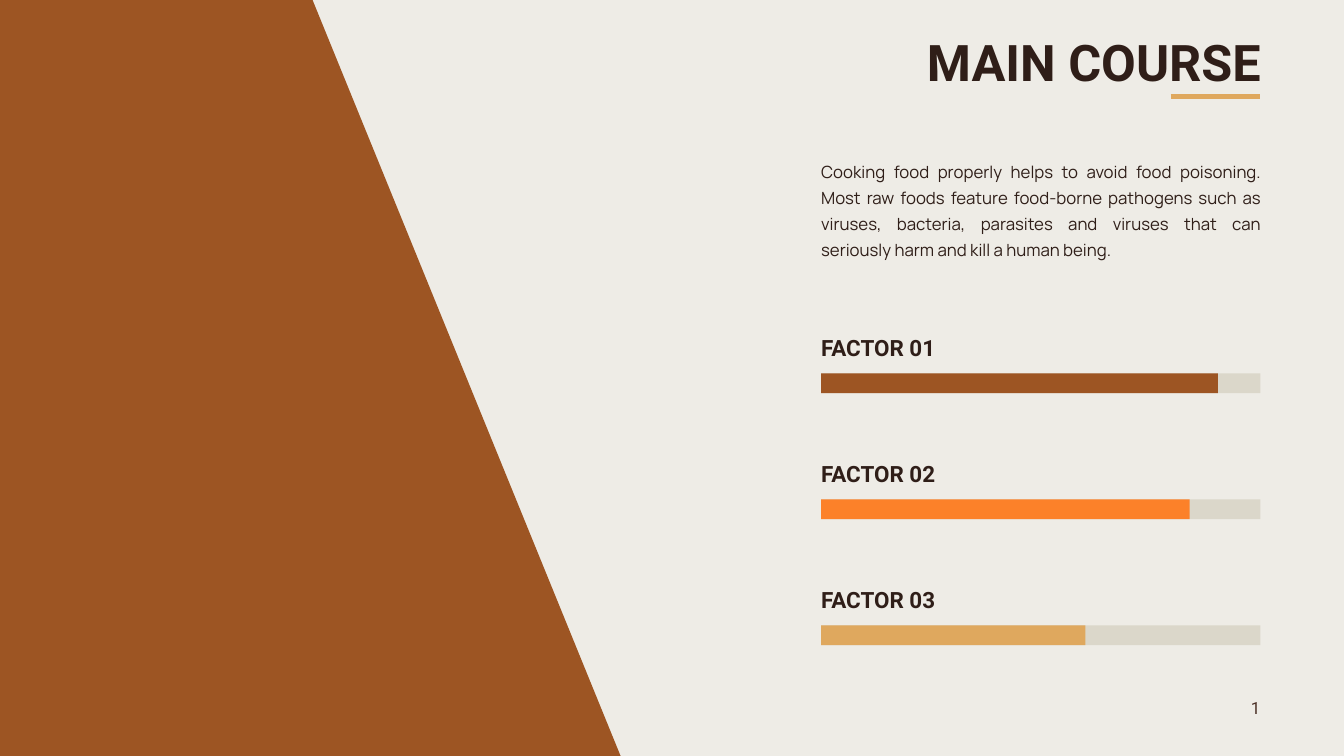
from pptx import Presentation
from pptx.dml.color import RGBColor
from pptx.enum.shapes import MSO_CONNECTOR as Connector, MSO_SHAPE as Shape
from pptx.enum.text import MSO_ANCHOR as Anchor, MSO_AUTO_SIZE as AutoSize, PP_ALIGN as Align
from pptx.oxml.ns import qn
from pptx.util import Pt
from lxml.etree import SubElement

SCALE = 9144
WIDTH, HEIGHT = 2666, 1500
INSET = 10
INK, BROWN, ORANGE, GOLD = "2F1E18", "9D5523", "FC8129", "DFA85E"
FACTORS = [("FACTOR 01", 787, BROWN), ("FACTOR 02", 731, ORANGE), ("FACTOR 03", 524, GOLD)]


def px(value):
    return int(value * SCALE)


def paint(color_format, color):
    color_format.rgb = RGBColor.from_string(color)


def fill_plain(shape, color):
    shape.shadow.inherit = False
    shape.fill.solid()
    paint(shape.fill.fore_color, color)
    shape.line.fill.background()


def add_bar(slide, left, top, width, height, color):
    bar = slide.shapes.add_shape(Shape.RECTANGLE, px(left), px(top), px(width), px(height))
    fill_plain(bar, color)


def add_text(slide, box, text, size, font="Roboto", color=INK, bold=False,
             align=Align.LEFT, anchor=Anchor.TOP, wrap=False, inset=None, leading=None):
    frame = slide.shapes.add_textbox(*map(px, box)).text_frame
    frame.word_wrap = wrap
    frame.auto_size = AutoSize.SHAPE_TO_FIT_TEXT
    frame.vertical_anchor = anchor
    if inset is not None:
        frame.margin_left = frame.margin_right = px(inset)
        frame.margin_top = frame.margin_bottom = px(inset)
    paragraph = frame.paragraphs[0]
    paragraph.alignment = align
    if leading:
        paragraph.line_spacing = Pt(leading)
    run = paragraph.add_run()
    run.text = text
    run.font.name = font
    run.font.size = Pt(size)
    run.font.bold = bold
    paint(run.font.color, color)


def add_side_panel(slide, left, top, width, height):
    slant = 611
    builder = slide.shapes.build_freeform(left, top, scale=float(SCALE))
    builder.add_line_segments([
        (left + width - slant, top),
        (left + width, top + height),
        (left, top + height),
    ], close=True)
    fill_plain(builder.convert_to_shape(), BROWN)


def add_heading(slide, left, top, width, height):
    add_text(slide, (left, top, width, height), "MAIN COURSE", 72, bold=True, align=Align.RIGHT)
    right, rule_y = left + width - INSET - 1, top + height + 4
    rule = slide.shapes.add_connector(
        Connector.STRAIGHT, px(right - 178), px(rule_y), px(right), px(rule_y))
    paint(rule.line.color, GOLD)
    rule.line.width = Pt(7)
    SubElement(rule.line._get_or_add_ln().getparent(), qn("a:effectLst"))


def add_intro(slide, left, top, width, height):
    add_text(
        slide, (left, top, width, height),
        "Cooking food properly helps to avoid food poisoning. Most raw foods feature "
        "food-borne pathogens such as viruses, bacteria, parasites and viruses that can "
        "seriously harm and kill a human being.",
        24, font="Manrope", align=Align.JUSTIFY, wrap=True, leading=37)


def add_factor(slide, left, top, width, label, progress, color):
    bar_top, bar_height = top + 84, 39
    add_bar(slide, left, bar_top, width, bar_height, "DBD7CA")
    add_bar(slide, left, bar_top, progress, bar_height, color)
    add_text(slide, (left - INSET, top, 252, 64), label, 32, bold=True, anchor=Anchor.MIDDLE)


def add_factors(slide, left, top, width, step):
    for index, factor in enumerate(FACTORS):
        add_factor(slide, left, top + index * step, width, *factor)


def add_page_number(slide, left, top, width, height):
    add_text(slide, (left, top, width, height), "1", 24, color="4C3127",
             align=Align.RIGHT, anchor=Anchor.BOTTOM, inset=0)


def main():
    deck = Presentation()
    deck.slide_width, deck.slide_height = px(WIDTH), px(HEIGHT)
    slide = deck.slides.add_slide(deck.slide_layouts[6])
    slide.background.fill.solid()
    paint(slide.background.fill.fore_color, "EEECE6")

    add_page_number(slide, 2459, 1384, 41, 40)
    add_side_panel(slide, -28, 0, 1259, HEIGHT)
    add_heading(slide, 1820, 57, 691, 131)
    add_intro(slide, 1619, 305, 892, 213)
    add_factors(slide, 1629, 657, 871, 250)
    deck.save("out.pptx")


if __name__ == "__main__":
    main()
